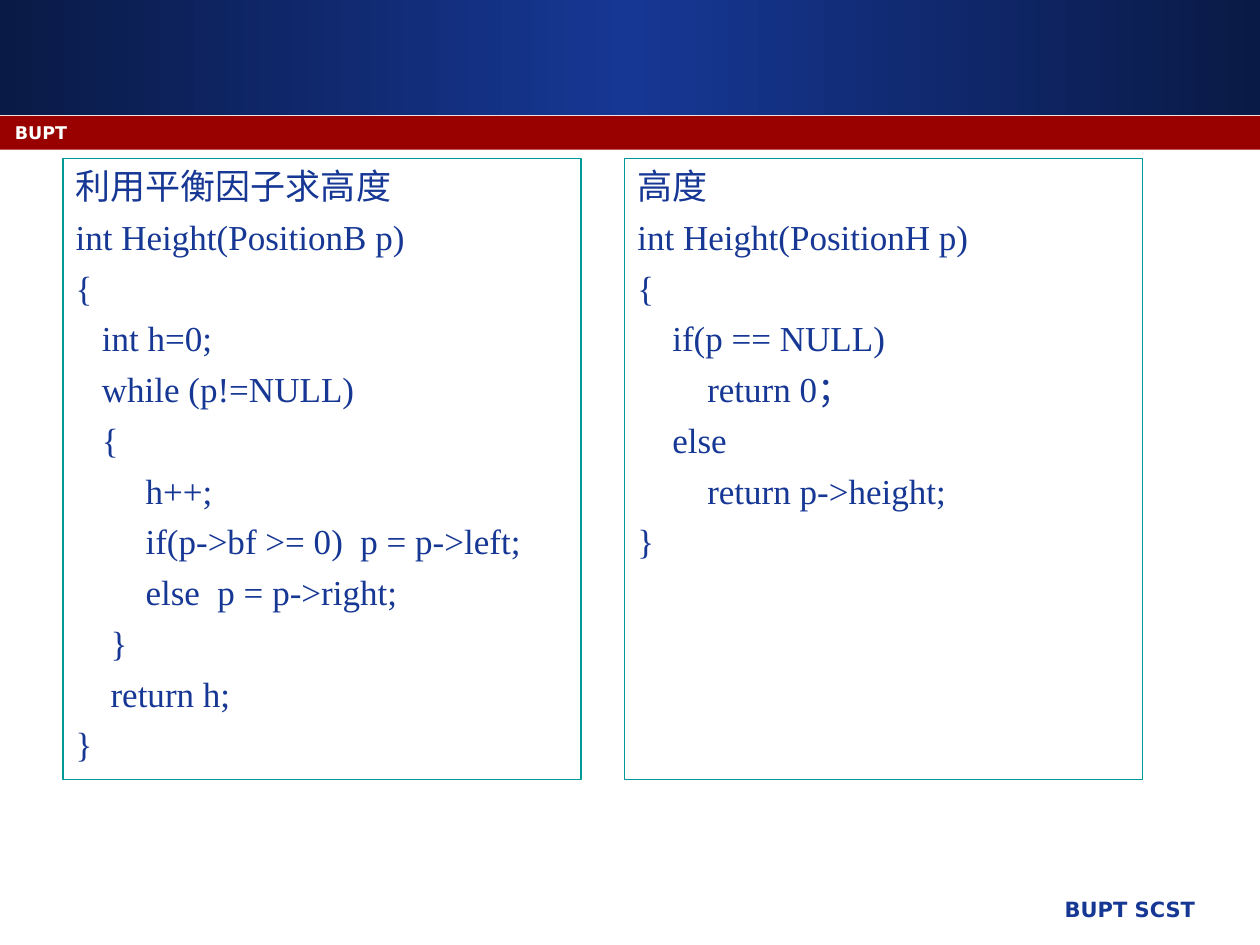
from copy import deepcopy
from dataclasses import dataclass

from lxml.etree import SubElement
from pptx import Presentation
from pptx.dml.color import RGBColor as RGB
from pptx.enum.shapes import MSO_SHAPE as SHAPE
from pptx.enum.text import MSO_ANCHOR as ANCHOR, MSO_AUTO_SIZE as AUTO_SIZE, PP_ALIGN as ALIGN
from pptx.oxml.ns import qn
from pptx.util import Pt


@dataclass(frozen=True)
class Theme:
    blue: RGB = RGB.from_string("163794")
    dark_blue: RGB = RGB.from_string("0A1A46")
    red: RGB = RGB.from_string("990000")
    teal: RGB = RGB.from_string("009999")
    white: RGB = RGB.from_string("FFFFFF")
    code_font: str = "Times New Roman"
    label_font: str = "DejaVu Sans"
    code_size: int = 20
    footer_size: int = 12
    band_size: int = 10


THEME = Theme()

BALANCE_CODE = """利用平衡因子求高度
int Height(PositionB p)
{
   int h=0;
   while (p!=NULL)
   {
        h++;
        if(p->bf >= 0)  p = p->left;
        else  p = p->right;
    }
    return h;
}"""

HEIGHT_CODE = """高度
int Height(PositionH p)
{
    if(p == NULL)
        return 0；
    else
        return p->height;
}"""


def format_font(font, color, **values):
    for name, value in values.items():
        setattr(font, name, value)
    font.color.rgb = color


def add_band(slide, left, top, width, height):
    band = slide.shapes.add_shape(SHAPE.RECTANGLE, Pt(left), Pt(top), Pt(width), Pt(height))
    band.shadow.inherit = False
    band.line.fill.background()
    return band


def add_label(slide, box, text, size, color, align):
    label = slide.shapes.add_textbox(*map(Pt, box))
    frame = label.text_frame
    frame.word_wrap = True
    paragraph = frame.paragraphs[0]
    paragraph.text = text
    paragraph.alignment = align
    format_font(paragraph.font, color, name=THEME.label_font, size=Pt(size), bold=True)


def add_header(slide, left, top, width, height):
    """Gradient banner with a red band carrying the school name below it."""
    band_height = 19.3
    banner_height = height - band_height

    banner = add_band(slide, left, top, width, banner_height - 0.5)
    banner.fill.gradient()
    banner.fill.gradient_angle = 0
    stop_list = banner._element.spPr.find(qn("a:gradFill")).find(qn("a:gsLst"))
    stop_list.insert(1, deepcopy(stop_list[0]))
    colors = (THEME.dark_blue, THEME.blue, THEME.dark_blue)
    for stop, position, color in zip(banner.fill.gradient_stops, (0, 0.5, 1), colors):
        stop.position = position
        stop.color.rgb = color

    band_top = top + banner_height
    band = add_band(slide, left, band_top, width, band_height)
    band.fill.solid()
    band.fill.fore_color.rgb = THEME.red
    add_label(slide, (left + 1.4, band_top, 666, 18), "BUPT",
              THEME.band_size, THEME.white, ALIGN.LEFT)


def fill_code_panel(panel, left, top, width, height, code):
    box = dict(left=left, top=top, width=width, height=height)
    for name, value in box.items():
        setattr(panel, name, Pt(value))
    panel.line.color.rgb = THEME.teal
    panel.line.width = Pt(0.75)

    frame = panel.text_frame
    frame.word_wrap = True
    frame.auto_size = AUTO_SIZE.NONE
    frame.vertical_anchor = ANCHOR.TOP
    for index, line in enumerate(code.splitlines()):
        paragraph = frame.paragraphs[0] if index == 0 else frame.add_paragraph()
        paragraph.text = line
        properties = paragraph._p.get_or_add_pPr()
        properties.set("marL", "0")
        properties.set("indent", "0")
        SubElement(properties, qn("a:buNone"))
        paragraph.space_before = Pt(5 if index else 0)
        format_font(paragraph.font, THEME.blue, name=THEME.code_font, size=Pt(THEME.code_size))


def build_code_slide(presentation):
    slide = presentation.slides.add_slide(presentation.slide_layouts[3])
    title, *panels = slide.placeholders
    title._element.getparent().remove(title._element)

    add_header(slide, 0, 0, 720, 85.5)
    left, pitch = 36, 321
    for column, (panel, code) in enumerate(zip(panels[:2], (BALANCE_CODE, HEIGHT_CODE))):
        fill_code_panel(panel, left + column * pitch, 90.5, 296, 355, code)
    add_label(slide, (303, 509, 387, 25), "BUPT SCST",
              THEME.footer_size, THEME.blue, ALIGN.RIGHT)


def main():
    presentation = Presentation()
    presentation.slide_width = Pt(720)
    presentation.slide_height = Pt(540)
    build_code_slide(presentation)
    presentation.save("out.pptx")


if __name__ == "__main__":
    main()
